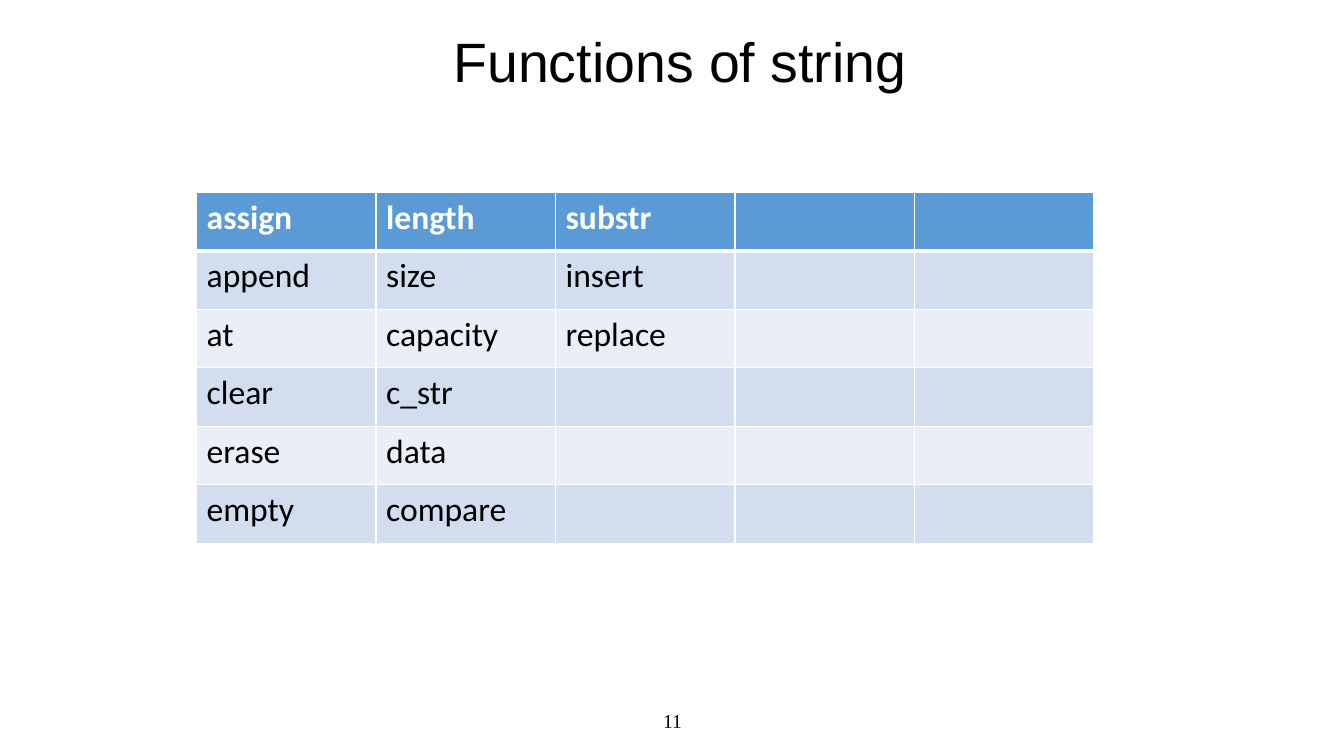
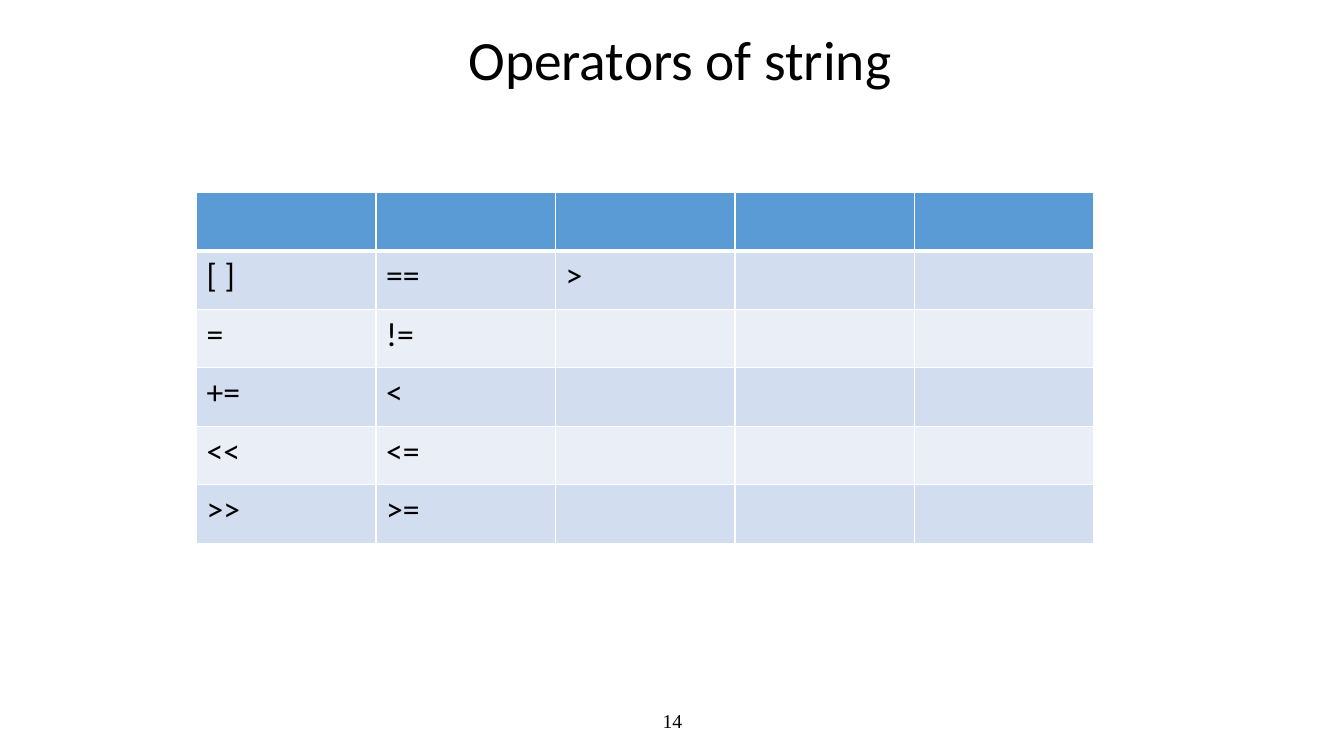
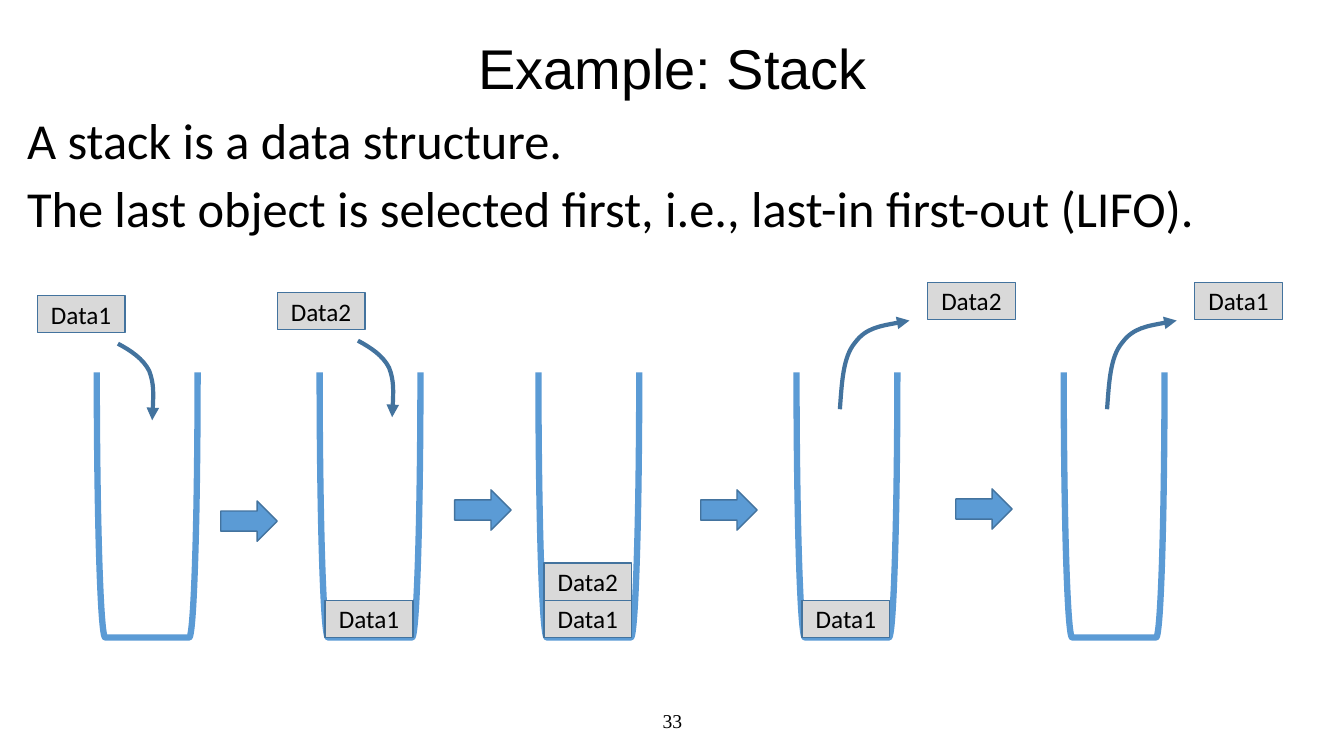
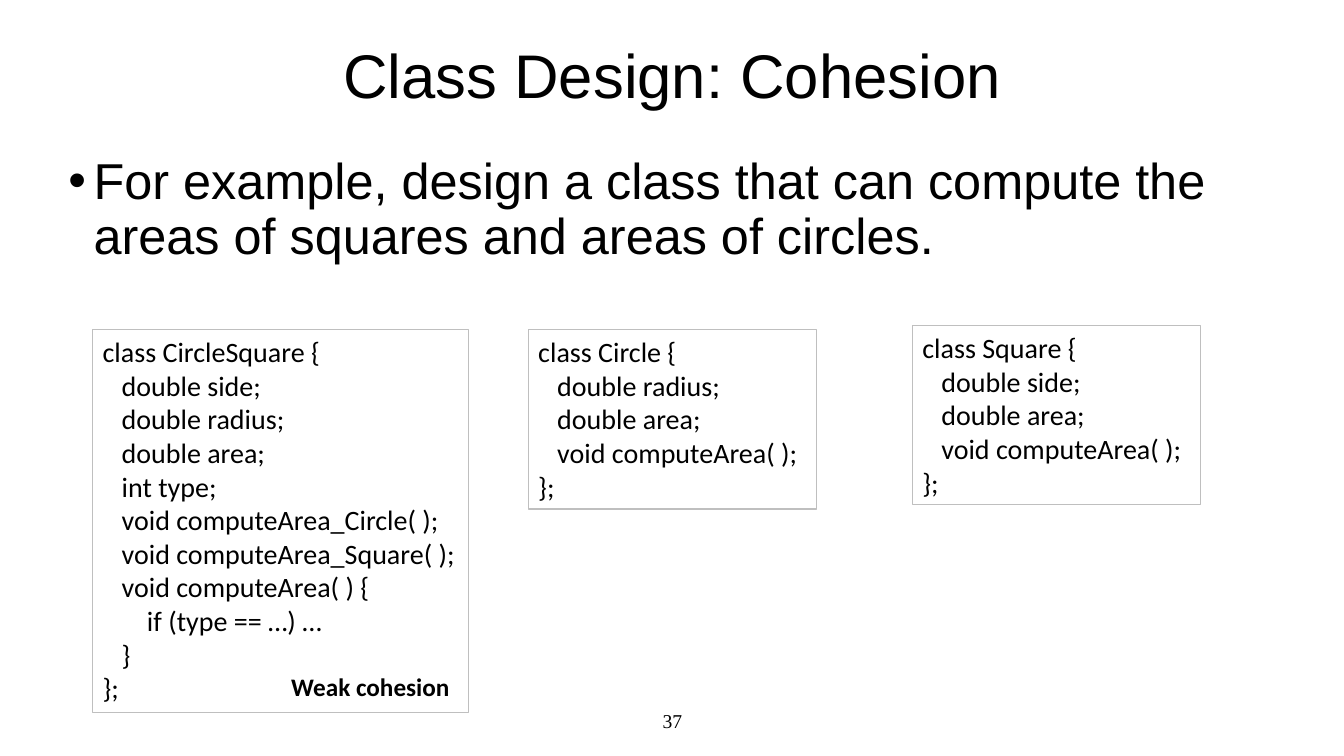
from dataclasses import dataclass

from lxml import etree
from pptx import Presentation
from pptx.dml.color import RGBColor
from pptx.enum.shapes import MSO_SHAPE as Preset
from pptx.enum.text import MSO_ANCHOR as Anchor, MSO_AUTO_SIZE as AutoSize, PP_ALIGN as Align
from pptx.oxml.ns import qn
from pptx.util import Inches, Pt


@dataclass(frozen=True)
class Theme:
    # Colours
    text: str = "000000"
    white: str = "FFFFFF"
    accent: str = "5B9BD5"
    outline: str = "43739E"
    data_fill: str = "D9D9D9"
    code_border: str = "BFBFBF"
    bands: tuple = ("D2DEEF", "EAEFF7")
    # Fonts
    heading: str = "Arial"
    body: str = "Calibri"
    footer: str = "Times New Roman"
    # Type sizes
    title_size: float = 40
    big_title_size: float = 44
    body_size: float = 36
    table_size: float = 24
    code_size: float = 20
    label_size: float = 18
    footer_size: float = 14


THEME = Theme()

# Content: member tables
FUNCTIONS = [
    ["assign", "length", "substr"],
    ["append", "size", "insert"],
    ["at", "capacity", "replace"],
    ["clear", "c_str"],
    ["erase", "data"],
    ["empty", "compare"],
]
OPERATORS = [
    [],
    ["[ ]", "==", ">"],
    ["=", "!="],
    ["+=", "<"],
    ["<<", "<="],
    [">>", ">="],
]
TABLE_COLUMNS = 5

# Content: stack states
STACK_TEXT = [
    "A stack is a data structure.",
    "The last object is selected first, i.e., last-in first-out (LIFO).",
]
# centre x, stored data from the bottom up, moving data (label, left, top, move)
STACKS = [
    (1.46, [], ("Data1", 0.37, 2.93, "push")),
    (3.67, ["Data1"], ("Data2", 2.75, 2.9, "push")),
    (5.84, ["Data1", "Data2"], None),
    (8.4, ["Data1"], ("Data2", 9.2, 2.8, "pop")),
    (11.05, [], ("Data1", 11.85, 2.8, "pop")),
]
STEP_ARROWS = [(2.19, 4.97), (4.51, 4.86), (6.95, 4.86), (9.48, 4.85)]
# Bezier points measured from the top left of the moving data
MOVE_CURVES = {
    "push": [(0.8, 0.48), (0.93, 0.55), (1.05, 0.63), (1.11, 0.75),
             (1.16, 0.88), (1.15, 1.06), (1.14, 1.24)],
    "pop": [(-0.87, 1.26), (-0.85, 1), (-0.84, 0.74), (-0.72, 0.6),
            (-0.61, 0.45), (-0.39, 0.42), (-0.18, 0.38)],
}

# Content: class design
COHESION_TEXT = ("For example, design a class that can compute the "
                 "areas of squares and areas of circles.")
CLASSES = [
    ((0.92, 3.27, 3.73, 3.8), [
        "class CircleSquare {",
        "   double side;",
        "   double radius;",
        "   double area;",
        "   int type;",
        "   void computeArea_Circle( );",
        "   void computeArea_Square( );",
        "   void computeArea( ) {",
        "       if (type == …) …",
        "   }",
        "};",
    ]),
    ((5.24, 3.27, 2.86, 1.78), [
        "class Circle {",
        "   double radius;",
        "   double area;",
        "   void computeArea( );",
        "};",
    ]),
    ((9.05, 3.23, 2.86, 1.78), [
        "class Square {",
        "   double side;",
        "   double area;",
        "   void computeArea( );",
        "};",
    ]),
]


# Shared helpers
def rgb(colour):
    return RGBColor.from_string(colour)


def inches(*lengths):
    return [Inches(length) for length in lengths]


def add_run(paragraph, text, size, font=THEME.body, colour=THEME.text, bold=False):
    run = paragraph.add_run()
    run.text = text
    run.font.size = Pt(size)
    run.font.name = font
    run.font.bold = bold
    run.font.color.rgb = rgb(colour)


def add_text(slide, box, lines, size, font=THEME.body, bold=False, align=Align.LEFT,
             anchor=Anchor.TOP, spacing=None, before=0, bullet=False, fit=False):
    holder = slide.shapes.add_textbox(*inches(*box))
    frame = holder.text_frame
    frame.word_wrap = not fit
    frame.auto_size = AutoSize.SHAPE_TO_FIT_TEXT if fit else AutoSize.NONE
    frame.vertical_anchor = anchor
    for index, line in enumerate(lines):
        paragraph = frame.add_paragraph() if index else frame.paragraphs[0]
        if bullet:
            properties = paragraph._p.get_or_add_pPr()
            properties.set("marL", str(Inches(0.25)))
            properties.set("indent", str(-Inches(0.25)))
            etree.SubElement(properties, qn("a:buFont"), typeface=THEME.heading)
            etree.SubElement(properties, qn("a:buChar"), char="•")
        paragraph.alignment = align
        if spacing:
            paragraph.line_spacing = spacing
        if index and before:
            paragraph.space_before = Pt(before)
        add_run(paragraph, line, size, font, bold=bold)
    return holder


def style_shape(shape, line, width, fill=None):
    shape.shadow.inherit = False
    shape.line.color.rgb = rgb(line)
    shape.line.width = Pt(width)
    if fill:
        shape.fill.solid()
        shape.fill.fore_color.rgb = rgb(fill)
    else:
        shape.fill.background()


def start_slide(deck, number, title, box, size=THEME.title_size, font=THEME.heading):
    slide = deck.slides.add_slide(deck.slide_layouts[6])
    add_text(slide, (4.42, 6.95, 4.5, 0.4), [str(number)], THEME.footer_size,
             THEME.footer, align=Align.CENTER, anchor=Anchor.MIDDLE)
    add_text(slide, box, [title], size, font, align=Align.CENTER,
             anchor=Anchor.MIDDLE, spacing=0.9)
    return slide


# Member tables
def set_borders(cell, widths):
    properties = cell._tc.get_or_add_tcPr()
    for index, (side, width) in enumerate(widths.items()):
        border = etree.Element(qn(f"a:ln{side}"), w=str(Pt(width)))
        fill = etree.SubElement(border, qn("a:solidFill"))
        etree.SubElement(fill, qn("a:srgbClr"), val=THEME.white)
        properties.insert(index, border)


def add_member_table(slide, rows):
    column_width, row_height = Inches(1.78), Inches(0.58)
    members = slide.shapes.add_table(
        len(rows), TABLE_COLUMNS, Inches(1.95), Inches(1.91),
        column_width * TABLE_COLUMNS, row_height * len(rows)).table
    for column in members.columns:
        column.width = column_width
    for r, names in enumerate(rows):
        members.rows[r].height = row_height
        header = r == 0
        for c in range(TABLE_COLUMNS):
            cell = members.cell(r, c)
            cell.fill.solid()
            cell.fill.fore_color.rgb = rgb(THEME.accent if header else THEME.bands[(r - 1) % 2])
            set_borders(cell, {"L": 1, "R": 1, "T": 3 if r == 1 else 1, "B": 3 if header else 1})
            if c < len(names):
                add_run(cell.text_frame.paragraphs[0], names[c], THEME.table_size,
                        colour=THEME.white if header else THEME.text, bold=header)


# Stack drawing
DATA_WIDTH, DATA_HEIGHT = 0.87, 0.37
STACK_WIDTH, STACK_HEIGHT, STACK_MIDDLE = 1, 2.63, 5.01


def add_data(slide, label, left, top):
    data = slide.shapes.add_shape(Preset.RECTANGLE, *inches(left, top, DATA_WIDTH, DATA_HEIGHT))
    style_shape(data, THEME.outline, 1, THEME.data_fill)
    data.text_frame.vertical_anchor = Anchor.MIDDLE
    data.text_frame.word_wrap = False
    paragraph = data.text_frame.paragraphs[0]
    paragraph.alignment = Align.CENTER
    add_run(paragraph, label, THEME.label_size)


def add_move_curve(slide, points):
    start, *others = [tuple(inches(x, y)) for x, y in points]
    builder = slide.shapes.build_freeform(*start)
    builder.add_line_segments(others, close=False)
    curve = builder.convert_to_shape()
    style_shape(curve, THEME.outline, 3)
    # Turn every three straight segments into one Bezier segment
    segments = list(curve._element.iter(qn("a:lnTo")))
    for first in range(0, len(segments), 3):
        bezier = etree.Element(qn("a:cubicBezTo"))
        segments[first].addprevious(bezier)
        for segment in segments[first:first + 3]:
            bezier.append(segment[0])
            segment.getparent().remove(segment)
    etree.SubElement(curve.line._get_or_add_ln(), qn("a:tailEnd"), type="triangle")


def add_stack(slide, center, stored, moving):
    # The bracket is turned a quarter, so its width is the stack's height
    stack = slide.shapes.add_shape(Preset.RIGHT_BRACKET, *inches(
        center - STACK_HEIGHT / 2, STACK_MIDDLE - STACK_WIDTH / 2, STACK_HEIGHT, STACK_WIDTH))
    stack.rotation = 90
    style_shape(stack, THEME.accent, 4.5)
    bottom = STACK_MIDDLE + STACK_HEIGHT / 2
    for level, label in enumerate(stored, 1):
        add_data(slide, label, center - DATA_WIDTH / 2 - 0.01, bottom - level * DATA_HEIGHT)
    if moving:
        label, left, top, move = moving
        add_data(slide, label, left, top)
        add_move_curve(slide, [(left + x, top + y) for x, y in MOVE_CURVES[move]])


def main():
    deck = Presentation()
    deck.slide_width, deck.slide_height = inches(13.33, 7.5)

    # String members
    functions = start_slide(deck, 11, "Functions of string", (1.83, 0.35, 9.83, 0.58), 39.6)
    add_member_table(functions, FUNCTIONS)
    operators = start_slide(deck, 14, "Operators of string", (1.83, 0.33, 9.83, 0.58),
                            39.6, THEME.body)
    add_member_table(operators, OPERATORS)

    # Stack
    stack_slide = start_slide(deck, 33, "Example: Stack", (2.42, 0.31, 8.5, 0.8))
    add_text(stack_slide, (0.17, 1.1, 13, 5.76), STACK_TEXT, THEME.body_size,
             spacing=0.9, before=10)
    for center, stored, moving in STACKS:
        add_stack(stack_slide, center, stored, moving)
    for left, top in STEP_ARROWS:
        step = stack_slide.shapes.add_shape(Preset.RIGHT_ARROW, *inches(left, top, 0.56, 0.4))
        style_shape(step, THEME.outline, 1, THEME.accent)

    # Cohesion
    cohesion = start_slide(deck, 37, "Class Design: Cohesion", (2.42, 0.33, 8.5, 0.9),
                           THEME.big_title_size)
    add_text(cohesion, (0.58, 1.5, 12.29, 5.25), [COHESION_TEXT], THEME.body_size,
             THEME.heading, spacing=0.9, bullet=True)
    for box, code in CLASSES:
        listing = add_text(cohesion, box, code, THEME.code_size, fit=True)
        style_shape(listing, THEME.code_border, 0.75)
    add_text(cohesion, (2.79, 6.61, 1.78, 0.4), ["Weak cohesion"], THEME.label_size,
             bold=True, fit=True)

    deck.save("out.pptx")


if __name__ == "__main__":
    main()
